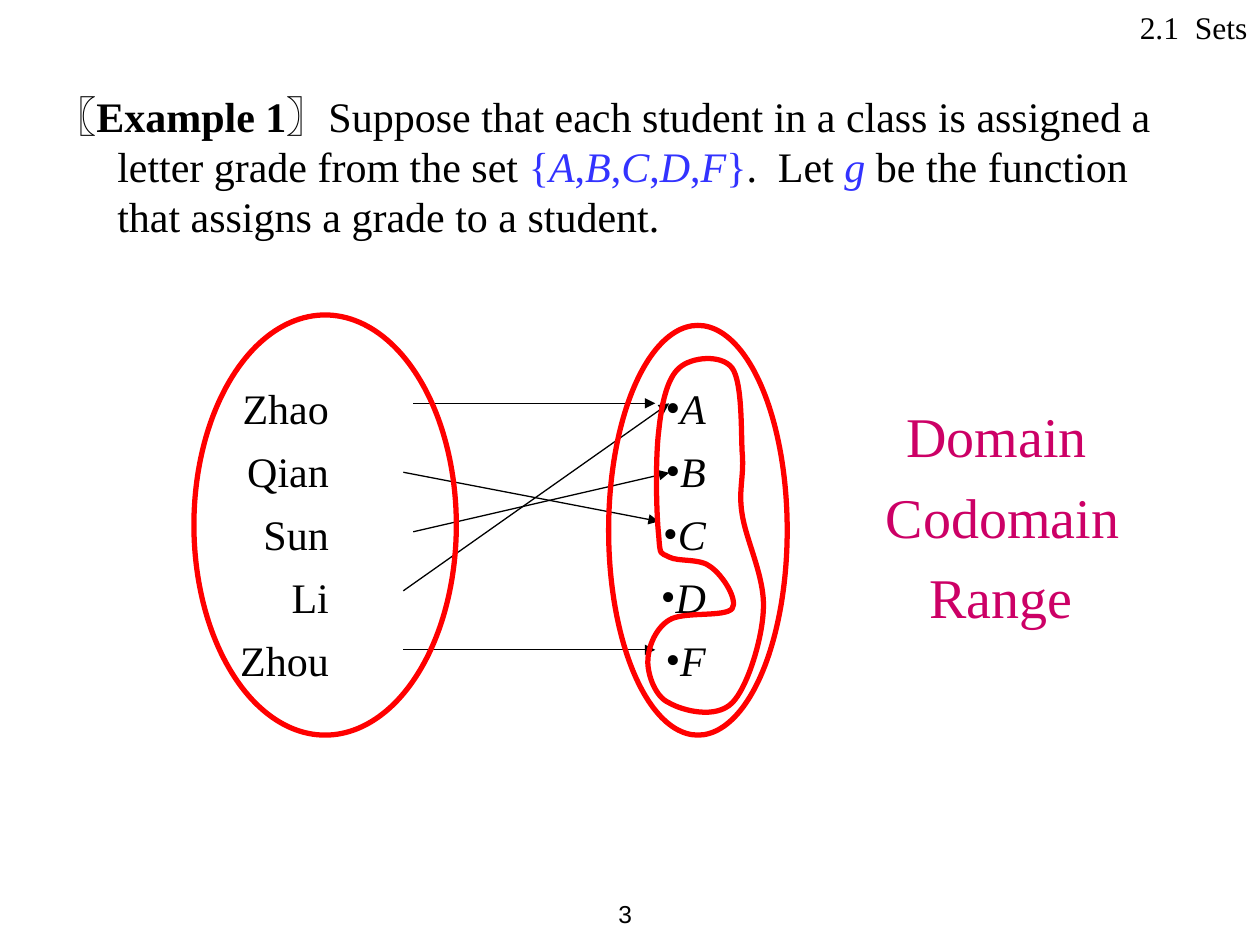
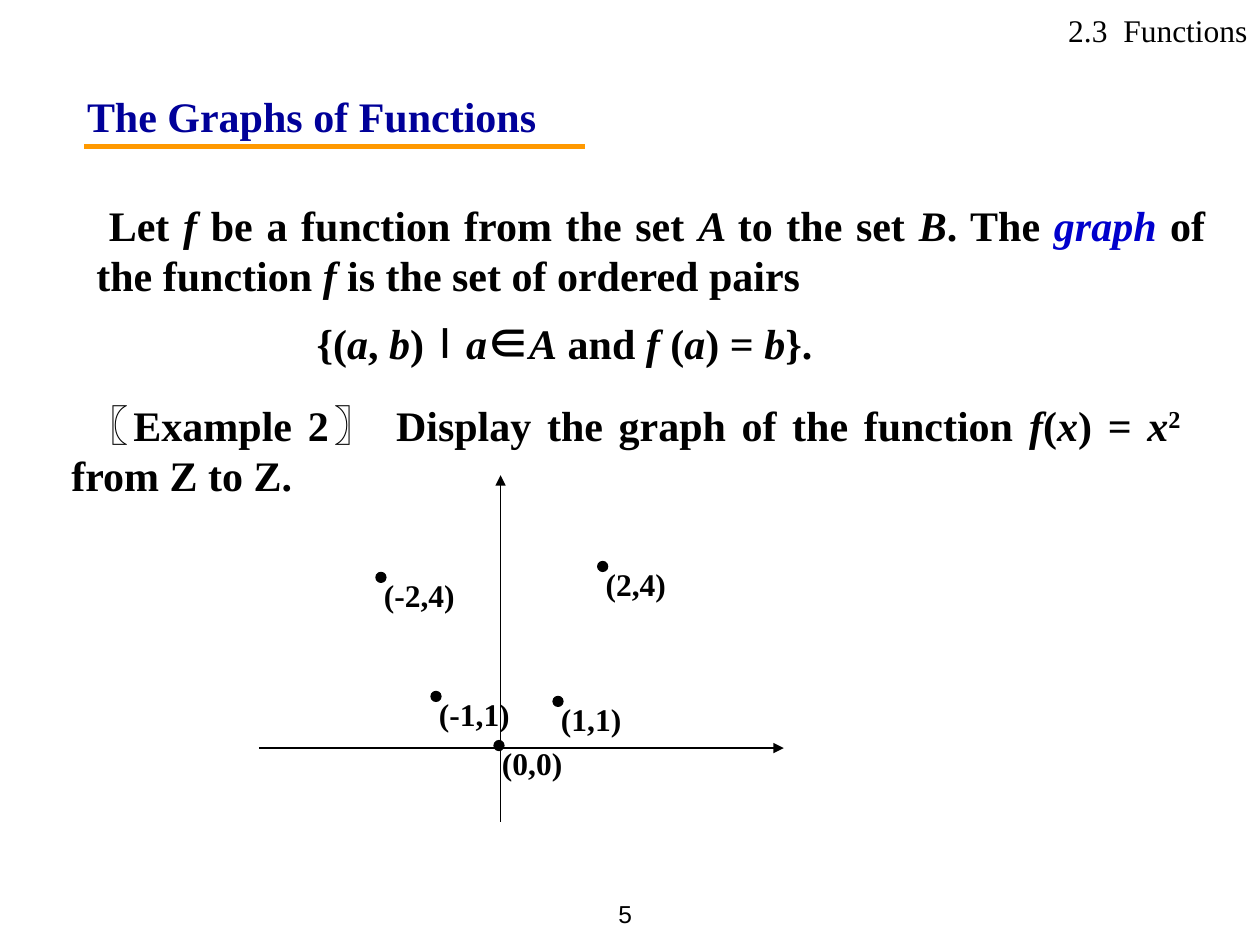
from pptx import Presentation
from pptx.dml.color import RGBColor
from pptx.enum.shapes import MSO_CONNECTOR, MSO_SHAPE
from pptx.enum.text import MSO_ANCHOR, MSO_AUTO_SIZE, PP_ALIGN
from pptx.oxml.ns import qn
from pptx.util import Cm, Pt
from lxml import etree

BLACK = RGBColor(0x00, 0x00, 0x00)
RED = RGBColor(0xFF, 0x00, 0x00)
BLUE = RGBColor(0x33, 0x33, 0xFF)
DEEP_BLUE = RGBColor(0x00, 0x00, 0xCC)
NAVY = RGBColor(0x00, 0x00, 0x99)
ORANGE = RGBColor(0xFF, 0x99, 0x00)
PINK = RGBColor(0xCC, 0x00, 0x66)
SERIF, CJK = "Times New Roman", "Noto Sans CJK SC"
CJK_CHARS = "〖〗∣∈"
LEFT, RIGHT, JUSTIFY = PP_ALIGN.LEFT, PP_ALIGN.RIGHT, PP_ALIGN.JUSTIFY


def write(s, box, lines, size=24, color=BLACK, accent=BLUE, font=SERIF, align=LEFT,
          wrap=True, before=0, spacing=1.0, indents=((0, 0),), bullet=None):
    """Place s and fill it; marks toggle: * italic, # bold, _ accent, ^ superscript."""
    s.left, s.top, s.width, s.height = [Cm(v) for v in box]
    tf = s.text_frame
    tf.word_wrap, tf.auto_size = wrap, MSO_AUTO_SIZE.SHAPE_TO_FIT_TEXT
    tf.vertical_anchor = MSO_ANCHOR.TOP
    for i, line in enumerate(lines):
        p = tf.paragraphs[0] if i == 0 else tf.add_paragraph()
        p.alignment, p.line_spacing = align, spacing
        p.space_before = Pt(before if i else 0)
        margin, first = indents[i % len(indents)]
        pPr = p._p.get_or_add_pPr()
        pPr.set("marL", str(Cm(margin)))
        pPr.set("indent", str(Cm(first)))
        if bullet:
            etree.SubElement(pPr, qn("a:buFont")).set("typeface", font)
            etree.SubElement(pPr, qn("a:buChar")).set("char", bullet)
        else:
            etree.SubElement(pPr, qn("a:buNone"))

        # Cut the line into runs of one format
        on, runs = set(), []
        for ch in line:
            if ch in "*#_^":
                on ^= {ch}
                continue
            style = (frozenset(on), CJK if ch in CJK_CHARS else font)
            if runs and runs[-1][1] == style:
                runs[-1][0] += ch
            else:
                runs.append([ch, style])
        for text, (marks, face) in runs:
            r = p.add_run()
            r.text = text
            r.font.size, r.font.name = Pt(size), face
            r.font.bold, r.font.italic = "#" in marks, "*" in marks
            r.font.color.rgb = accent if "_" in marks else color
            rPr = r._r.get_or_add_rPr()
            etree.SubElement(rPr, qn("a:ea")).set("typeface", CJK)
            if "^" in marks:
                rPr.set("baseline", "30000")


def draw_line(slide, x1, y1, x2, y2, color=BLACK, width=0.75, arrow=True):
    c = slide.shapes.add_connector(MSO_CONNECTOR.STRAIGHT, Cm(x1), Cm(y1), Cm(x2), Cm(y2))
    c.line.color.rgb, c.line.width = color, Pt(width)
    if arrow:
        etree.SubElement(c.line._get_or_add_ln(), qn("a:tailEnd")).set("type", "triangle")
    etree.SubElement(c._element.spPr, qn("a:effectLst"))


prs = Presentation()
prs.slide_width, prs.slide_height = Cm(25.4), Cm(19.05)
layout = prs.slide_layouts[1]
sets, graphs = prs.slides.add_slide(layout), prs.slides.add_slide(layout)

# Page numbers on both slides
for slide, number in ((sets, "3"), (graphs, "5")):
    s = slide.shapes.add_textbox(0, 0, 0, 0)
    write(s, (11.29, 17.78, 1.7, 1.27), [number], 14, font="Arial", align=RIGHT, wrap=False)
    s.text_frame.auto_size = MSO_AUTO_SIZE.NONE
    s.text_frame.vertical_anchor = MSO_ANCHOR.MIDDLE

# Slide 1: section name and example
write(sets.shapes.title, (15.24, 0.04, 10.16, 1.02), ["2.1  Sets"], 18, align=RIGHT)
write(sets.placeholders[1], (0.84, 1.69, 23.06, 3.33),
      ["#〖Example 1〗#Suppose that each student in a class is assigned a letter grade "
       "from the set _{*A*,*B*,*C*,*D*,*F*}_.  Let _*g*_ be the function that assigns "
       "a grade to a student."], indents=((1.27, -1.27),))

# Students and grades
write(sets.shapes.add_textbox(0, 0, 0, 0), (4.57, 7.34, 2.31, 6.55),
      ["Zhao", "Qian", "Sun", "Li", "Zhou"], align=RIGHT, wrap=False, spacing=1.25)
write(sets.shapes.add_textbox(0, 0, 0, 0), (13.06, 7.34, 1.42, 6.55),
      [f"*{grade}*" for grade in "ABCDF"], align=RIGHT, wrap=False, spacing=1.25, bullet="•")

# Arrows from student to grade
for ends in ((8.33, 8.13, 13.21, 8.13), (8.13, 9.52, 13.28, 10.51),
             (8.33, 10.72, 13.49, 9.53), (8.13, 11.91, 13.49, 8.13),
             (8.13, 13.1, 13.21, 13.1)):
    draw_line(sets, *ends)

# Domain and codomain ovals
outlines = [sets.shapes.add_shape(MSO_SHAPE.OVAL, *[Cm(v) for v in box])
            for box in ((3.91, 6.35, 5.29, 8.47), (12.27, 6.56, 3.6, 8.26))]

# Range outline: each curve has two control points and an end
start = (13.28, 10.8)
curves = [
    ((13.23, 10.36), (13.21, 9.25), (13.28, 8.69)),
    ((13.34, 8.1), (13.46, 7.62), (13.69, 7.42)),
    ((13.94, 7.19), (14.55, 7.14), (14.76, 7.42)),
    ((14.96, 7.7), (14.94, 8.61), (14.96, 9.09)),
    ((15.01, 9.6), (14.88, 9.86), (14.96, 10.36)),
    ((15.04, 10.9), (15.42, 11.63), (15.39, 12.27)),
    ((15.37, 12.9), (15.06, 13.87), (14.76, 14.17)),
    ((14.43, 14.5), (13.77, 14.33), (13.49, 14.17)),
    ((13.21, 14.05), (13.06, 13.61), (13.06, 13.34)),
    ((13.06, 13.06), (13.21, 12.67), (13.49, 12.5)),
    ((13.77, 12.32), (14.61, 12.45), (14.76, 12.27)),
    ((14.88, 12.09), (14.58, 11.61), (14.33, 11.43)),
    ((14.12, 11.25), (13.67, 11.33), (13.49, 11.23)),
    ((13.31, 11.13), (13.31, 11.23), start),
]
fb = sets.shapes.build_freeform(Cm(start[0]), Cm(start[1]))
fb.add_line_segments([(Cm(x), Cm(y)) for curve in curves for x, y in curve], close=True)
s = fb.convert_to_shape()
outlines.append(s)

# Join every three line steps into one Bezier curve
steps = list(s._element.iter(qn("a:lnTo")))
for i in range(0, len(steps), 3):
    bezier = etree.Element(qn("a:cubicBezTo"))
    steps[i].addprevious(bezier)
    for step in steps[i:i + 3]:
        bezier.append(step[0])
        step.getparent().remove(step)

for s in outlines:
    s.shadow.inherit = False
    s.fill.background()
    s.line.color.rgb, s.line.width = RED, Pt(3)

# Terms
for i, (term, x, w) in enumerate((("Domain", 17.97, 4.19), ("Codomain", 17.56, 5.26),
                                  ("Range", 18.44, 3.43))):
    write(sets.shapes.add_textbox(0, 0, 0, 0), (x, 7.97 + 1.625 * i, w, 1.63), [term],
          32, PINK, align=RIGHT, wrap=False)

# Slide 2: section name, underlined title
write(graphs.shapes.add_textbox(0, 0, 0, 0), (15.24, 0.1, 10.16, 1.02),
      ["2.3  Functions"], 18, align=RIGHT)
write(graphs.shapes.title, (1.5, 1.7, 10.97, 1.27), ["#The Graphs of Functions#"], color=NAVY)
draw_line(graphs, 1.7, 2.96, 11.79, 2.96, ORANGE, 3, arrow=False)

# Definition and example
write(graphs.placeholders[1], (1.69, 3.89, 22.86, 3.71),
      ["#Let *f* be a function from the set *A *to the set *B*. The _*graph*_ of the "
       "function *f* is the set of ordered pairs#",
       "#{(*a*, *b*)∣*a*∈*A* and *f *(*a*) = *b*}.#"],
      accent=DEEP_BLUE, align=JUSTIFY, before=10, indents=((0, 0.25), (4.44, 0)))
write(graphs.shapes.add_textbox(0, 0, 0, 0), (1.19, 7.93, 22.86, 2.31),
      ["#〖Example 2〗 Display the graph of the function *f*(*x*) = *x*^2^ from Z to Z.#"],
      align=JUSTIFY, indents=((0, 0.3),))

# Axes
draw_line(graphs, 5.22, 15.08, 15.8, 15.08)
draw_line(graphs, 10.09, 16.57, 10.09, 9.58)

# Points with their labels
for label, x, y in (("(0,0)", 9.87, 14.87), ("(1,1)", 11.06, 13.98), ("(-1,1)", 8.6, 13.88),
                    ("(2,4)", 11.96, 11.26), ("(-2,4)", 7.49, 11.48)):
    s = graphs.shapes.add_shape(MSO_SHAPE.OVAL, Cm(x + 0.09), Cm(y + 0.06), Cm(0.2), Cm(0.2))
    s.shadow.inherit = False
    s.fill.solid()
    s.fill.fore_color.rgb = s.line.color.rgb = BLACK
    s.line.width = Pt(0.75)
    write(graphs.shapes.add_textbox(0, 0, 0, 0), (x, y, 2.34, 1.02), [f"#{label}#"], 18)

prs.save("out.pptx")
